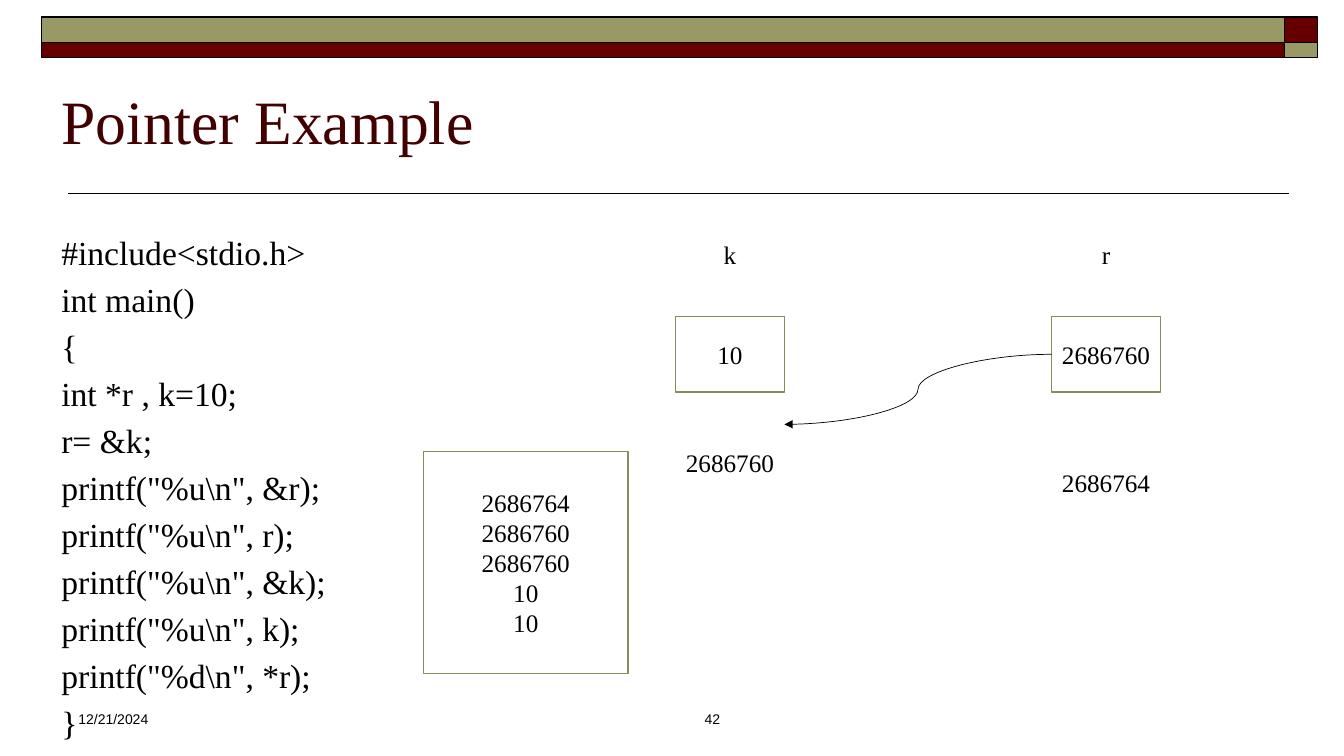
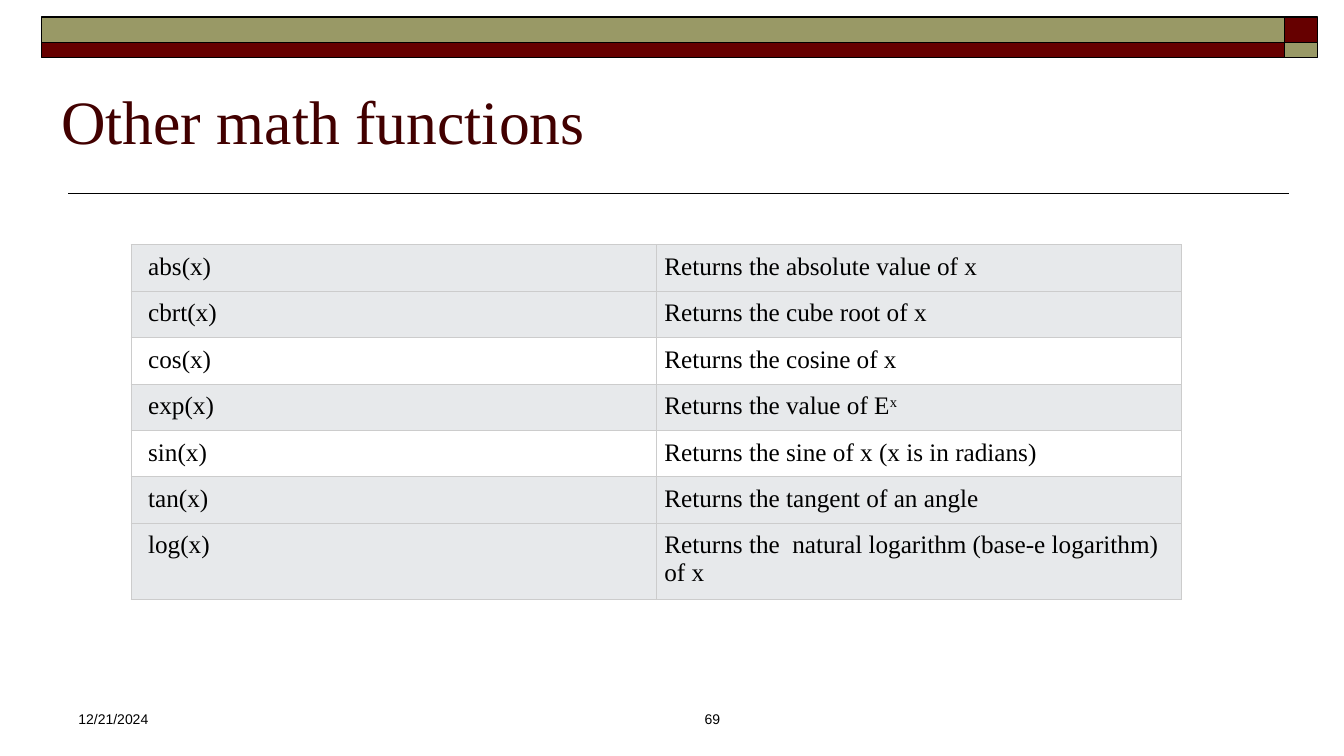
import pptx
import pptx.util
import pptx.dml.color
import pptx.enum.shapes
import pptx.enum.text
import pptx.oxml
import pptx.oxml.ns

Inches, Pt = pptx.util.Inches, pptx.util.Pt
ALIGN = pptx.enum.text.PP_ALIGN
ANCHOR = pptx.enum.text.MSO_ANCHOR
CONNECTOR = pptx.enum.shapes.MSO_CONNECTOR

MAROON, OLIVE, TITLE_INK = "660000", "999966", "420000"
BLACK, WHITE, BOX_EDGE = "000000", "FFFFFF", "8A8A5C"
ROW_GREY, GRID = "E7E9EB", "CCCCCC"
SERIF, SANS = "Times New Roman", "Arial"

CODE = [
    "#include<stdio.h>",
    "int main()",
    "{",
    "int *r , k=10;",
    "r= &k;",
    'printf("%u\\n", &r);',
    'printf("%u\\n", r);',
    'printf("%u\\n", &k);',
    'printf("%u\\n", k);',
    'printf("%d\\n", *r);',
    "}",
]
OUTPUT = ["2686764", "2686760", "2686760", "10", "10"]
FUNCTIONS = [
    ("abs(x)", ["Returns the absolute value of x"], ROW_GREY),
    ("cbrt(x)", ["Returns the cube root of x"], ROW_GREY),
    ("cos(x)", ["Returns the cosine of x"], WHITE),
    ("exp(x)", ["Returns the value of E", "x"], ROW_GREY),
    ("sin(x)", ["Returns the sine of x (x is in radians)"], WHITE),
    ("tan(x)", ["Returns the tangent of an angle"], ROW_GREY),
    ("log(x)", ["Returns the  natural logarithm (base-e logarithm) of x"], ROW_GREY),
]


def color(hex_code):
    """Turn a hex string into a colour."""
    return pptx.dml.color.RGBColor.from_string(hex_code)


def add_run(paragraph, text, size, font=SERIF, ink=BLACK):
    """Append one styled run to a paragraph."""
    run = paragraph.add_run()
    run.text = text
    run.font.size = Pt(size)
    run.font.name = font
    run.font.color.rgb = color(ink)
    return run


def write_lines(frame, lines, size, font=SERIF, ink=BLACK, align=ALIGN.LEFT,
                anchor=ANCHOR.TOP, before=0):
    """Fill a text frame with one paragraph per line."""
    frame.word_wrap = True
    frame.vertical_anchor = anchor
    for index, line in enumerate(lines):
        paragraph = frame.add_paragraph() if index else frame.paragraphs[0]
        paragraph.alignment = align
        paragraph.space_before = Pt(before if index else 0)
        add_run(paragraph, line, size, font, ink)


def add_text(slide, left, top, width, height, lines, size, **style):
    """Place a text box."""
    area = slide.shapes.add_textbox(Inches(left), Inches(top), Inches(width), Inches(height))
    write_lines(area.text_frame, lines, size, **style)


def add_box(slide, left, top, width, height, fill, edge, lines=()):
    """Place a bordered rectangle with centred text."""
    box = slide.shapes.add_shape(pptx.enum.shapes.MSO_SHAPE.RECTANGLE, Inches(left),
                                 Inches(top), Inches(width), Inches(height))
    box.shadow.inherit = False
    box.fill.solid()
    box.fill.fore_color.rgb = color(fill)
    box.line.color.rgb = color(edge)
    box.line.width = Pt(1)
    box.text_frame.margin_left = box.text_frame.margin_right = Inches(0.05)
    write_lines(box.text_frame, lines, 18, align=ALIGN.CENTER, anchor=ANCHOR.MIDDLE)
    return box


def add_line(slide, kind, start, end, width):
    """Draw a black connector without a shadow."""
    line = slide.shapes.add_connector(kind, *(Inches(value) for value in (*start, *end)))
    line.line.color.rgb = color(BLACK)
    line.line.width = Pt(width)
    line._element.spPr.append(pptx.oxml.parse_xml(
        f"<a:effectLst {pptx.oxml.ns.nsdecls('a')}/>"))
    return line


def add_band(slide, left, top, width, height):
    """Draw the checkered top band with its narrow right-hand column."""
    corner, upper = 0.33, 0.25
    main_width = width - corner
    for x, y, w, h, fill in [
        (left + main_width, top, corner, upper, MAROON),
        (left, top, main_width, upper, OLIVE),
        (left, top + upper, main_width, height - upper, MAROON),
        (left + main_width, top + upper, corner, height - upper, OLIVE),
    ]:
        add_box(slide, x, y, w, h, fill, BLACK)


def add_base_slide(deck, title, number):
    """Add a blank slide with band, rule, title and footer."""
    slide = deck.slides.add_slide(deck.slide_layouts[6])
    add_line(slide, CONNECTOR.STRAIGHT, (12.78, 1.92), (0.67, 1.92), 1)
    add_band(slide, 0.41, 0.17, 12.66, 0.4)
    add_text(slide, 0.51, 0.35, 12, 1.25, [title], 44, ink=TITLE_INK, anchor=ANCHOR.BOTTOM)
    add_text(slide, 0.68, 7, 2.44, 0.5, ["12/21/2024"], 10, font=SANS)
    add_text(slide, 4.46, 7, 2.78, 0.5, [number], 10, font=SANS, align=ALIGN.RIGHT)
    return slide


def add_variable(slide, left, top, name, value, address, address_offset):
    """Stack a variable's name, value box and address."""
    width, height, step = 1.08, 0.75, 0.99
    add_box(slide, left, top, width, height, WHITE, WHITE, [name])
    add_box(slide, left, top + address_offset, width, height, WHITE, WHITE, [address])
    return add_box(slide, left, top + step, width, height, WHITE, BOX_EDGE, [value])


def add_memory_diagram(slide, left, top):
    """Draw both variables and the arrow from pointer to address."""
    r_left, address_offset = left + 3.73, 2.06
    add_variable(slide, left, top, "k", "10", "2686760", address_offset)
    pointer = add_variable(slide, r_left, top, "r", "2686760", "2686764", 2.26)
    arrow = add_line(slide, CONNECTOR.CURVE, (r_left, top + 1.37),
                     (left + 1.08, top + address_offset), 0.5)
    arrow.begin_connect(pointer, 1)
    arrow.line._get_or_add_ln().append(pptx.oxml.parse_xml(
        f"<a:tailEnd {pptx.oxml.ns.nsdecls('a')} type='triangle'/>"))


def style_cell(cell, fill, left_inset):
    """Give a cell its grid lines, fill and insets."""
    properties = cell._tc.get_or_add_tcPr()
    for side in ("lnL", "lnR", "lnT", "lnB"):
        properties.append(pptx.oxml.parse_xml(
            f"<a:{side} {pptx.oxml.ns.nsdecls('a')} w='{Pt(0.75)}'><a:solidFill>"
            f"<a:srgbClr val='{GRID}'/></a:solidFill></a:{side}>"))
    cell.fill.solid()
    cell.fill.fore_color.rgb = color(fill)
    cell.margin_left = Inches(left_inset)
    cell.margin_right = cell.margin_top = cell.margin_bottom = Inches(0.08)


def add_function_table(slide, left, top, width, height):
    """Build the table of functions, its rows as tall as their text."""
    frame = slide.shapes.add_table(len(FUNCTIONS), 2, Inches(left), Inches(top),
                                   Inches(width), Inches(height))
    table = frame.table
    table.first_row = table.horz_banding = False
    for row, (function, result, fill) in enumerate(FUNCTIONS):
        table.rows[row].height = Inches(0)
        for column, (parts, inset) in enumerate([([function], 0.17), (result, 0.08)]):
            cell = table.cell(row, column)
            style_cell(cell, fill, inset)
            for index, part in enumerate(parts):
                run = add_run(cell.text_frame.paragraphs[0], part, 18)
                if index:
                    run._r.get_or_add_rPr().set("baseline", "30000")
    frame.height = Inches(height)


def build_pointer_slide(deck):
    """Show the pointer program, its output and its memory."""
    slide = add_base_slide(deck, "Pointer Example", "42")
    add_text(slide, 0.51, 2.25, 12, 4.57, CODE, 24, before=4.8)
    add_memory_diagram(slide, 6.7, 2.15)
    add_box(slide, 4.2, 4.48, 2.03, 2.2, WHITE, BOX_EDGE, OUTPUT)


def build_functions_slide(deck):
    """Show the table of further math functions."""
    slide = add_base_slide(deck, "Other math functions", "69")
    add_function_table(slide, 1.3, 2.43, 10.42, 3.57)


def main():
    """Build and save the deck."""
    deck = pptx.Presentation()
    deck.slide_width, deck.slide_height = Inches(13.33), Inches(7.5)
    build_pointer_slide(deck)
    build_functions_slide(deck)
    deck.save("out.pptx")


if __name__ == "__main__":
    main()
